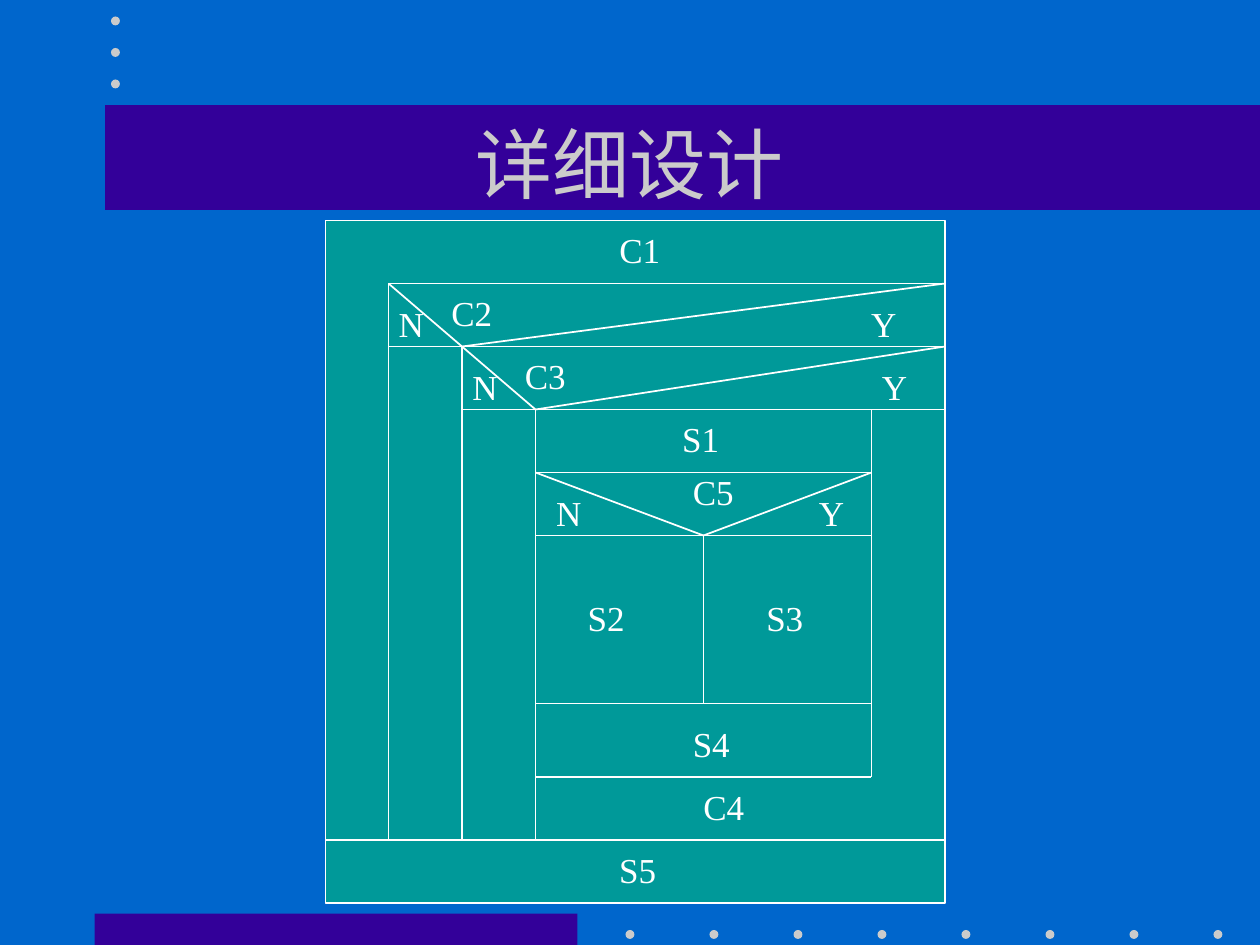
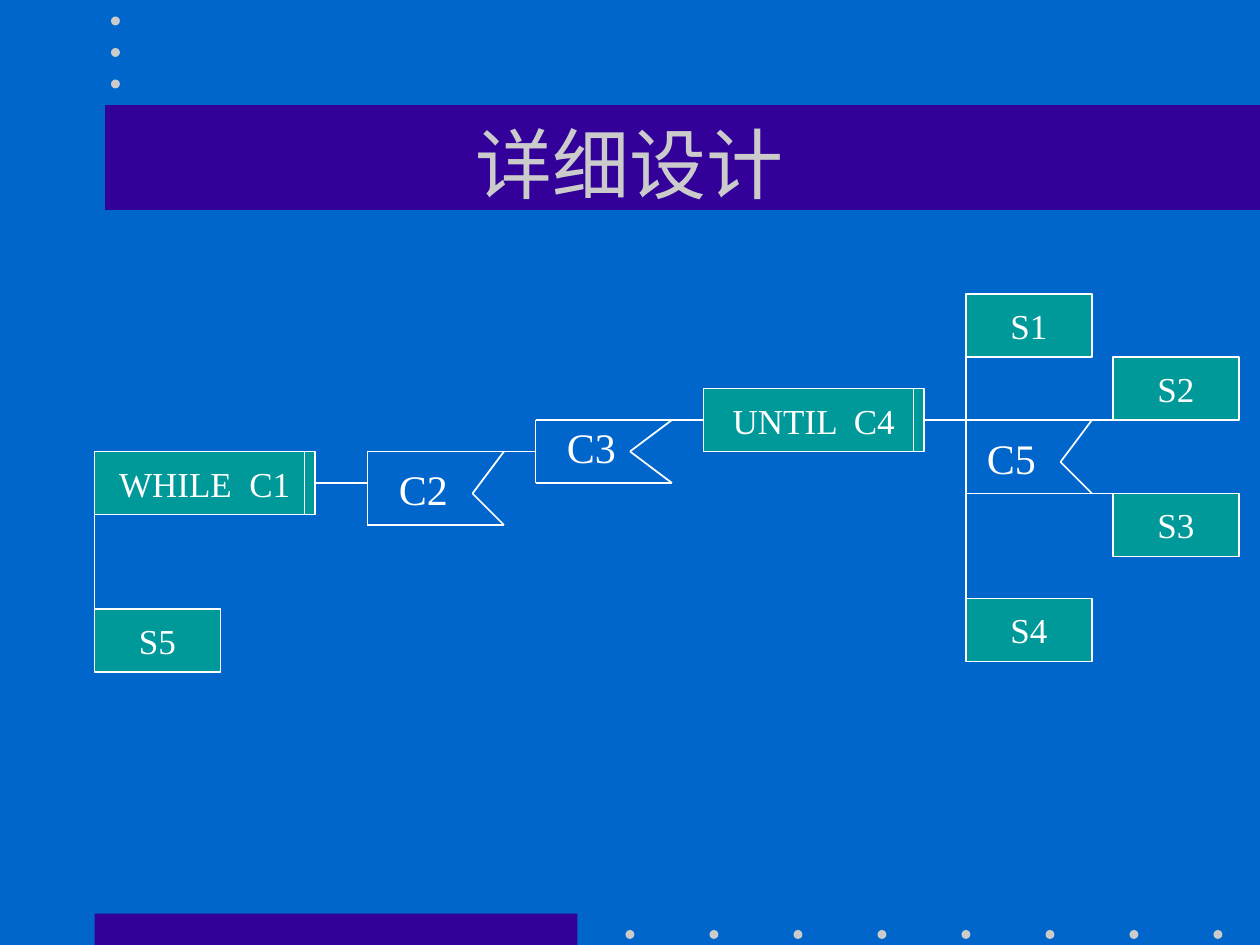
from dataclasses import dataclass
from typing import Any

from lxml import etree
from pptx import Presentation
from pptx.dml.color import RGBColor
from pptx.enum.shapes import MSO_CONNECTOR, MSO_SHAPE
from pptx.enum.text import MSO_ANCHOR, PP_ALIGN
from pptx.oxml.ns import qn
from pptx.util import Cm, Pt

RECT, OVAL = MSO_SHAPE.RECTANGLE, MSO_SHAPE.OVAL
STRAIGHT = MSO_CONNECTOR.STRAIGHT
MIDDLE = MSO_ANCHOR.MIDDLE
CENTER = PP_ALIGN.CENTER

BLUE = RGBColor(0x00, 0x66, 0xCC)
PURPLE = RGBColor(0x33, 0x00, 0x99)
TEAL = RGBColor(0x00, 0x99, 0x99)
GREY = RGBColor(0xCB, 0xCB, 0xCB)
WHITE = RGBColor(0xFF, 0xFF, 0xFF)

FONT = "Times New Roman"
TITLE = "详细设计"
SLIDE_W, SLIDE_H = 120, 90
DOT = 0.85
ADVANCE = {"C": 0.67, "S": 0.56, "N": 0.72, "Y": 0.72}


def grid(n):
    return Cm(n * 2.54 / 12)


def write(sp, text, size, color):
    tf = sp.text_frame
    tf.word_wrap = False
    tf.text = text
    font = tf.paragraphs[0].runs[0].font
    font.name = FONT
    font.size = Pt(size)
    font.color.rgb = color
    return tf


def center(tf):
    tf.vertical_anchor = MIDDLE
    tf.paragraphs[0].alignment = CENTER


@dataclass
class Panel:
    slide: Any
    left: float
    top: float

    def frame(self, x, y, w, h):
        return grid(self.left + x), grid(self.top + y), grid(w), grid(h)

    def shape(self, kind, x, y, w, h, fill, outline=None):
        sp = self.slide.shapes.add_shape(kind, *self.frame(x, y, w, h))
        sp.shadow.inherit = False
        sp.fill.solid()
        sp.fill.fore_color.rgb = fill
        if outline is None:
            sp.line.fill.background()
        else:
            sp.line.color.rgb = outline
            sp.line.width = Pt(1)
        return sp

    def dot(self, x, y):
        self.shape(OVAL, x - DOT / 2, y - DOT / 2, DOT, DOT, GREY)

    def node(self, text, x, y, w=12, h=6):
        sp = self.shape(RECT, x, y, w, h, TEAL, WHITE)
        center(write(sp, text, 20, WHITE))

    def line(self, x1, y1, x2, y2):
        cx = self.slide.shapes.add_connector(
            STRAIGHT, grid(self.left + x1), grid(self.top + y1),
            grid(self.left + x2), grid(self.top + y2))
        cx.line.color.rgb = WHITE
        cx.line.width = Pt(1)
        etree.SubElement(cx._element.spPr, qn("a:effectLst"))

    def lines(self, segments):
        for segment in segments:
            self.line(*segment)

    def text_box(self, x, y, w, h):
        return self.slide.shapes.add_textbox(*self.frame(x, y, w, h))

    def label(self, text, x, y, size=20):
        em = size / 6
        width = 2.4 + em * sum(ADVANCE.get(ch, 0.5) for ch in text)
        sp = self.text_box(x - 0.2, y + 0.2, width, 1.2 + 1.2 * em)
        write(sp, text, size, WHITE)


def add_base(prs):
    slide = prs.slides.add_slide(prs.slide_layouts[6])
    page = Panel(slide, 0, 0)
    page.shape(RECT, 9, 87, 46, 3, PURPLE)
    for i in range(8):
        page.dot(60 + 8 * i, 89)
    page.shape(RECT, 10, 10, SLIDE_W - 10, 10, PURPLE)
    for i in range(3):
        page.dot(11, 2 + 3 * i)
    tf = write(page.text_box(9, 8, 102, 15), TITLE, 44, GREY)
    tf.word_wrap = True
    center(tf)
    return slide


def draw_box_diagram(slide, left, top):
    panel = Panel(slide, left, top)
    right, bottom = 59, 65
    outer, middle, inner, half, inner_right = 6, 13, 20, 36, 52
    loop_end = 59
    panel.shape(RECT, 0, 0, right, bottom, TEAL, WHITE)
    panel.lines([
        (0, loop_end, right, loop_end),
        (outer, loop_end, outer, 6),
        (middle, 12, middle, loop_end),
        (inner, 18, inner, loop_end),
        (inner_right, 53, inner_right, 18),
        (half, 30, half, 46),
        (outer, 6, inner, 18),
        (inner, 24, half, 30),
        (half, 30, inner_right, 24),
        (middle, 12, right, 6),
        (inner, 18, right, 12),
    ])
    for x, y in ((outer, 6), (outer, 12), (middle, 18)):
        panel.line(x, y, right, y)
    for y in (24, 30, 46, 53):
        panel.line(inner, y, inner_right, y)
    for text, x, y in [
        ("C1", 27, 0), ("C4", 35, 53), ("C5", 34, 23),
        ("N", 21, 25), ("Y", 46, 25),
        ("S1", 33, 18), ("S4", 34, 47), ("S2", 24, 35), ("S3", 41, 35),
        ("S5", 27, 59),
        ("N", 6, 7), ("N", 13, 13), ("Y", 51, 7), ("Y", 52, 13),
        ("C2", 11, 6), ("C3", 18, 12),
    ]:
        panel.label(text, x, y)


def draw_loop(panel, text, x, y):
    panel.node(text, x, y, w=21)
    panel.line(x + 20, y, x + 20, y + 6)


def draw_selection(panel, x, y, width, height, notch, yes_end, no_end):
    notch_x, notch_y = x + notch[0], y + notch[1]
    panel.lines([
        (x, y, yes_end, y),
        (x, y + height, no_end, y + height),
        (x + width, y, notch_x, notch_y),
        (notch_x, notch_y, x + width, y + height),
    ])


def draw_problem_analysis(slide, left, top):
    panel = Panel(slide, left, top)
    spine, leaves = 83, 97
    draw_loop(panel, "WHILE  C1", 0, 15)
    draw_loop(panel, "UNTIL  C4", 58, 9)
    for text, x, y in [("S5", 0, 30), ("S3", leaves, 19), ("S1", spine, 0),
                       ("S2", leaves, 6), ("S4", spine, 29)]:
        panel.node(text, x, y)
    panel.lines([
        (0, 15, 0, 30),
        (21, 18, 26, 18),
        (26, 15, 26, 22),
        (42, 12, 42, 18),
        (79, 12, spine, 12),
        (spine, 0, spine, 29),
    ])
    draw_selection(panel, 26, 15, 13, 7, (10, 4), 42, 39)
    draw_selection(panel, 42, 12, 13, 6, (9, 3), 58, 55)
    draw_selection(panel, spine, 12, 12, 7, (9, 4), leaves, leaves)
    for text, x, y in [("C2", 28, 15.4), ("C3", 44, 11.4), ("C5", 84, 12.4)]:
        panel.label(text, x, y, size=24)


def main():
    prs = Presentation()
    prs.slide_width, prs.slide_height = grid(SLIDE_W), grid(SLIDE_H)
    background = prs.slide_master.background.fill
    background.solid()
    background.fore_color.rgb = BLUE
    draw_box_diagram(add_base(prs), 31, 21)
    draw_problem_analysis(add_base(prs), 9, 28)
    prs.save("out.pptx")


if __name__ == "__main__":
    main()
